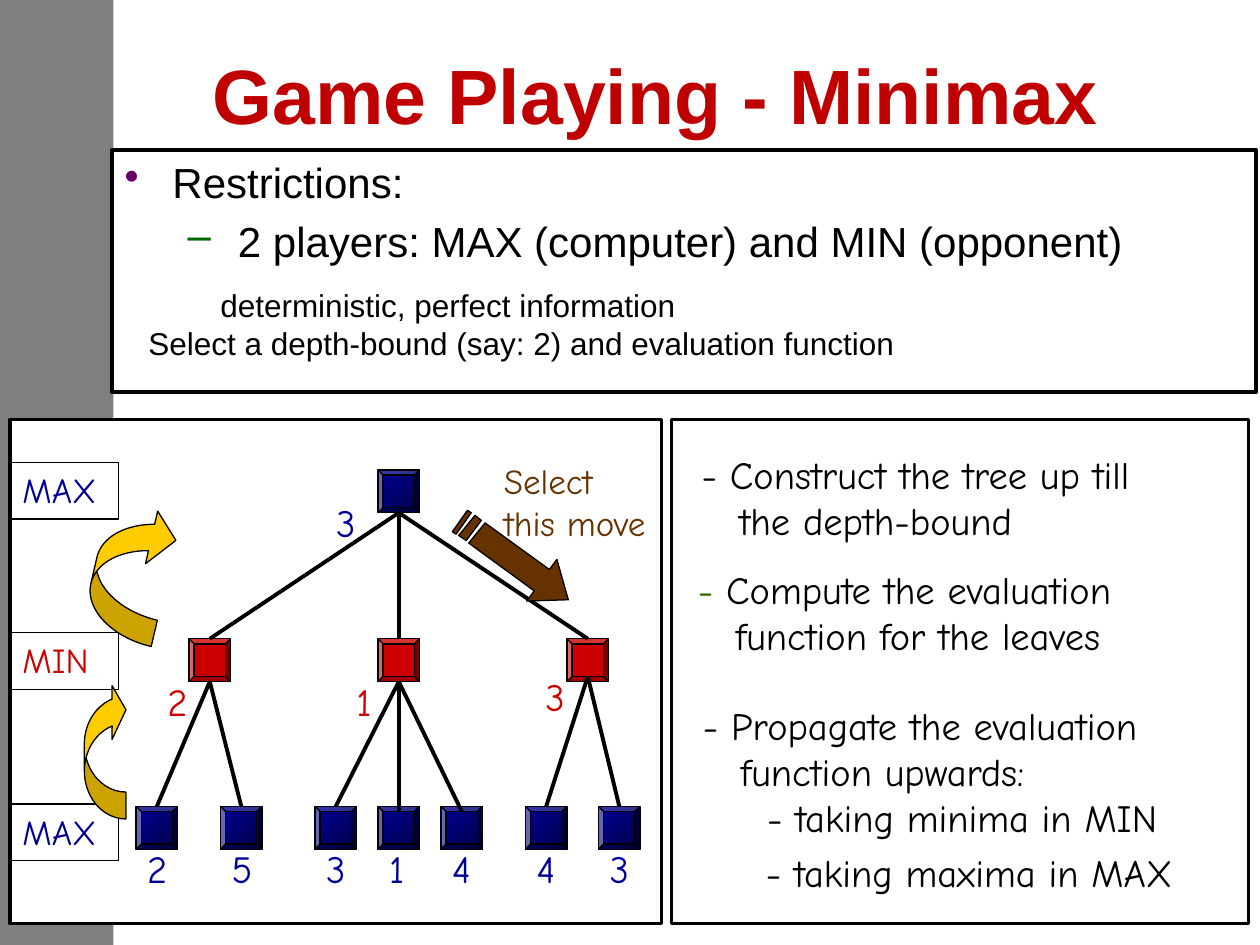
from lxml import etree
from pptx import Presentation
from pptx import util as u
from pptx.dml.color import RGBColor
from pptx.enum import shapes, text
from pptx.oxml.ns import qn

C = {"black": "000000", "white": "FFFFFF", "title": "C00000", "max": "000099",
     "max_dark": "000047", "min": "CC0000", "gold": "FFCC00", "brown": "663300",
     "bullet": "660066", "dash": "006600", "green": "336600"}
SANS, COMIC = "Arial", "Comic Neue"

# Content: paragraphs are (text, left margin, first-line indent, bullet, bullet colour)
TITLE = "Game Playing - Minimax"
RESTRICTIONS = [("Restrictions:", 0.38, -0.38, "•", "bullet"),
                ("2 players: MAX (computer) and MIN (opponent)", 0.9, -0.4, "–", "dash")]
SETTINGS = [("deterministic, perfect information", 0.57),
            ("Select a depth-bound (say: 2) and evaluation function", 0)]
STEPS = [((5.47, 3.53, 4.03, 0.83), [("- Construct the tree up till", 0),
                                     ("the depth-bound", 0.3)]),
         ((5.44, 4.44, 3.82, 0.83), [("- Compute the evaluation", 0),
                                     ("function for the leaves", 0.3)]),
         ((5.48, 5.52, 3.97, 1.21), [("- Propagate the evaluation", 0),
                                     ("function upwards:", 0.3),
                                     ("- taking minima in MIN", 0.51)]),
         ((5.98, 6.69, 3.58, 0.47), [("- taking maxima in MAX", 0)])]
LEVELS = [("MAX", "max", 3.67), ("MIN", "min", 5.02), ("MAX", "max", 6.38)]

# Tree: root x and value; MIN nodes (x, value, lift, leaves); leaves (x, value, edge overlap)
NODE_W, NODE_H = 0.33, 0.34
ROOT_Y, MIN_Y, LEAF_Y = 3.73, 5.07, 6.4
ROOT_X, ROOT_VALUE = 3, "3"
TREE = [(1.5, "2", 0, [(1.08, "2", 0), (1.75, "5", 0)]),
        (3, "1", 0, [(2.5, "3", 0), (3, "1", 0.04), (3.5, "4", 0.04)]),
        (4.5, "3", 0.04, [(4.17, "4", 0), (4.75, "3", 0)])]

# Curved arrows: box, rotation, adjustments
CURVES = [((0.67, 5.42, 0.33, 1.08), 0, (0.647, 1.294, 0.333)),
          ((0.75, 4, 0.58, 1.08), 13.1, (0.37, 0.739, 0.333))]
# Arrow body and its two stripes, in hundredths of an inch
MOVE_ARROW = [
    [(442, 444), (436, 452), (385, 415), (372, 431), (424, 469), (418, 477), (451, 476)],
    [(377, 409), (364, 425), (370, 429), (382, 413)],
    [(371, 405), (359, 422), (362, 424), (374, 407)]]

prs = Presentation()
prs.slide_width, prs.slide_height = u.Inches(10), u.Inches(7.5)
s = prs.slides.add_slide(prs.slide_layouts[5])


def rgb(name):
    return RGBColor.from_string(C[name])


def style(sp, fill=None, line=None):
    sp.shadow.inherit = False
    if fill:
        sp.fill.solid()
        sp.fill.fore_color.rgb = rgb(fill)
    else:
        sp.fill.background()
    if line:
        sp.line.color.rgb = rgb("black")
        sp.line.width = u.Pt(line)
    else:
        sp.line.fill.background()
    return sp


def shape(kind, box, fill=None, line=None):
    return style(s.shapes.add_shape(kind, *map(u.Inches, box)), fill, line)


def panel(box, fill=None, line=None):
    return shape(shapes.MSO_SHAPE.RECTANGLE, box, fill, line)


def write(sp, paras, size, color, font=COMIC, before=0):
    tf = sp.text_frame
    tf.word_wrap = True
    tf.vertical_anchor = text.MSO_ANCHOR.TOP
    for i, (words, left, *bullet) in enumerate(paras):
        p = tf.add_paragraph() if i else tf.paragraphs[0]
        p.text = words
        p.alignment = text.PP_ALIGN.LEFT
        pPr = p._p.get_or_add_pPr()
        pPr.set("marL", str(u.Inches(left)))
        if bullet:
            indent, char, tint = bullet
            pPr.set("indent", str(u.Inches(indent)))
            clr = etree.SubElement(pPr, qn("a:buClr"))
            etree.SubElement(clr, qn("a:srgbClr")).set("val", C[tint])
            etree.SubElement(pPr, qn("a:buChar")).set("char", char)
        if i and before:
            p.space_before = u.Pt(before)
        for r in p.runs:
            r.font.size, r.font.name = u.Pt(size), font
            r.font.color.rgb = rgb(color)


def label(box, paras, size, color, font=COMIC):
    sp = s.shapes.add_textbox(*map(u.Inches, box))
    write(sp, paras, size, color, font)
    return sp


def value(x, y, words, color):
    label((x, y, 0.39, 0.47), [(words, 0)], 22, color)


def node(x, y, color):
    sp = shape(shapes.MSO_SHAPE.BEVEL, (x, y, NODE_W, NODE_H), color, 0.75)
    if color == "max":
        sp.fill.gradient()
        sp.fill.gradient_angle = 315
        for stop, tint in zip(sp.fill.gradient_stops, ("max", "max_dark")):
            stop.color.rgb = rgb(tint)


def edge(x1, y1, x2, y2):
    half = NODE_W / 2
    ends = map(u.Inches, (x1 + half, y1, x2 + half, y2))
    cx = s.shapes.add_connector(shapes.MSO_CONNECTOR.STRAIGHT, *ends)
    cx.line.color.rgb = rgb("black")
    cx.line.width = u.Pt(2.25)
    etree.SubElement(cx._element.spPr, qn("a:effectLst"))


# Side bar
bar = panel((0, 0, 0.9, 7.5), "black")
tint = bar._element.spPr.find(qn("a:solidFill"))[0]
etree.SubElement(tint, qn("a:alpha")).set("val", "50000")

# Title
title = s.shapes.title
title.left, title.top, title.width, title.height = map(u.Inches, (1.33, 0.24, 7.75, 1))
title.text_frame.text = TITLE
title.text_frame.vertical_anchor = text.MSO_ANCHOR.MIDDLE
p = title.text_frame.paragraphs[0]
p.alignment = text.PP_ALIGN.CENTER
f = p.runs[0].font
f.size, f.name, f.bold = u.Pt(44), SANS, True
f.color.rgb = rgb("title")

# Restrictions
box = panel((0.89, 1.19, 9.08, 1.92), "white", 2.25)
box.text_frame.margin_top = u.Inches(0.05)
write(box, RESTRICTIONS, 24, "black", SANS, before=5)
label((1.08, 2.22, 8.8, 0.8), SETTINGS, 18, "black", SANS)

# Tree panel with level labels
panel((0.08, 3.33, 5.17, 4), "white", 2)
for words, color, y in LEVELS:
    write(panel((0.08, y, 0.86, 0.45), line=0.75), [(words, 0)], 20, color)

# Tree nodes, values and edges
node(ROOT_X, ROOT_Y, "max")
value(ROOT_X - 0.43, 3.91, ROOT_VALUE, "max")
for x, score, lift, leaves in TREE:
    node(x, MIN_Y, "min")
    value(x - 0.27, 5.33 - lift, score, "min")
    edge(ROOT_X, ROOT_Y + NODE_H, x, MIN_Y)
    for leaf_x, leaf_score, overlap in leaves:
        node(leaf_x, LEAF_Y, "max")
        value(leaf_x - 0.01, 6.66, leaf_score, "max")
        edge(x, MIN_Y + NODE_H - lift, leaf_x, LEAF_Y + overlap)

# Curved arrows going up the levels
for box, turn, adjustments in CURVES:
    arrow = shape(shapes.MSO_SHAPE.CURVED_RIGHT_ARROW, box, "gold", 0.75)
    arrow.rotation = turn
    arrow._element.spPr.find(qn("a:xfrm")).set("flipV", "1")
    for i, amount in enumerate(adjustments):
        arrow.adjustments[i] = amount

# Selected move
fb = s.shapes.build_freeform(*MOVE_ARROW[0][0], scale=u.Inches(0.01))
for i, (start, *rest) in enumerate(MOVE_ARROW):
    if i:
        fb.move_to(*start)
    fb.add_line_segments(rest, close=True)
style(fb.convert_to_shape(), "brown", 0.75)
label((3.9, 3.6, 1.44, 0.77), [("Select", 0), ("this move", 0)], 20, "brown")

# Steps panel
panel((5.33, 3.33, 4.58, 4), "white", 2)
steps = [label(box, paras, 22, "black") for box, paras in STEPS]
p = steps[1].text_frame.paragraphs[0]
dash, rest = p.runs[0], p.add_run()
dash.text, rest.text = "- ", dash.text[2:]
rest.font.size, rest.font.name = u.Pt(22), COMIC
rest.font.color.rgb = rgb("black")
dash.font.color.rgb = rgb("green")

prs.save("out.pptx")
